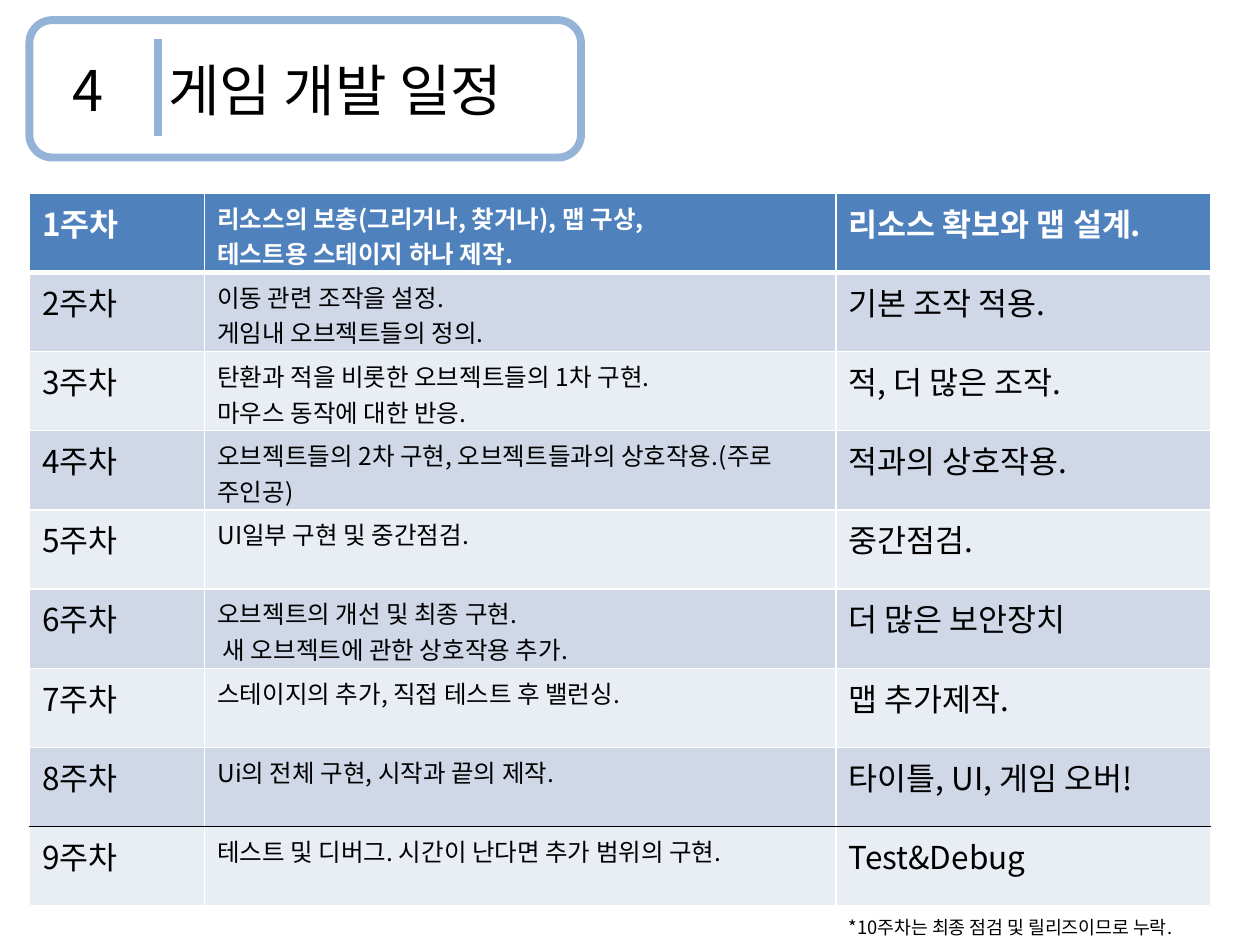
from dataclasses import dataclass

from lxml import etree
from pptx import Presentation
from pptx import util as u
from pptx.dml.color import RGBColor
from pptx.enum import shapes, text
from pptx.oxml import ns

Pt = u.Pt


@dataclass(frozen=True)
class Theme:
    """Colours, font and type sizes of the slide."""
    font: str = "Noto Sans CJK KR"
    ink: str = "000000"
    paper: str = "FFFFFF"
    frame: str = "95B3D7"
    head: str = "4F81BD"
    bands: tuple = ("E9EDF4", "D0D8E8")
    title: float = 32
    main: float = 18
    task: float = 14
    note: float = 10.5


THEME = Theme()

WEEKS = [
    ("리소스의 보충(그리거나, 찾거나), 맵 구상,\n테스트용 스테이지 하나 제작.", "리소스 확보와 맵 설계."),
    ("이동 관련 조작을 설정.\n게임내 오브젝트들의 정의.", "기본 조작 적용."),
    ("탄환과 적을 비롯한 오브젝트들의 1차 구현.\n마우스 동작에 대한 반응.", "적, 더 많은 조작."),
    ("오브젝트들의 2차 구현, 오브젝트들과의 상호작용.(주로 주인공)", "적과의 상호작용."),
    ("UI일부 구현 및 중간점검.", "중간점검."),
    ("오브젝트의 개선 및 최종 구현.\n 새 오브젝트에 관한 상호작용 추가.", "더 많은 보안장치"),
    ("스테이지의 추가, 직접 테스트 후 밸런싱.", "맵 추가제작."),
    ("Ui의 전체 구현, 시작과 끝의 제작.", "타이틀, UI, 게임 오버!"),
    ("테스트 및 디버그. 시간이 난다면 추가 범위의 구현.", "Test&Debug"),
]


def add(node, tag, **attrs):
    """Append a DrawingML child and return it."""
    return etree.SubElement(node, ns.qn("a:" + tag), attrs)


def write(frame, words, size, color=THEME.ink, bold=False):
    """Fill a text frame and format all its runs."""
    frame.text = words
    for para in frame.paragraphs:
        for run in para.runs:
            font = run.font
            font.name, font.size, font.bold = THEME.font, Pt(size), bold
            font.color.rgb = RGBColor.from_string(color)
            add(run._r.get_or_add_rPr(), "ea", typeface=THEME.font)


def label(slide, box, words, size, wrap):
    """Place a text box and return its frame."""
    frame = slide.shapes.add_textbox(*map(Pt, box)).text_frame
    frame.word_wrap = wrap
    frame.auto_size = text.MSO_AUTO_SIZE.SHAPE_TO_FIT_TEXT
    write(frame, words, size)
    return frame


def stroke(line):
    """Apply the frame colour and weight to a line."""
    line.color.rgb = RGBColor.from_string(THEME.frame)
    line.width = Pt(4.5)


def header(slide, box, num, words):
    """Draw the framed number and title."""
    x, y, w, h = box
    frame = slide.shapes.add_shape(shapes.MSO_SHAPE.ROUNDED_RECTANGLE, *map(Pt, box))
    frame.shadow.inherit = False
    frame.fill.background()
    stroke(frame.line)
    title = label(slide, (x + 17.3, y + 16.5, w - 23, 46), f"{num}\t{words}", THEME.title, True)
    tabs = add(title.paragraphs[0]._p.get_or_add_pPr(), "tabLst")
    add(tabs, "tab", pos=str(Pt(55)), algn="l")
    bar = slide.shapes.add_connector(
        shapes.MSO_CONNECTOR.STRAIGHT, Pt(x + 73.4), Pt(y + 11), Pt(x + 73.4), Pt(y + h - 12))
    stroke(bar.line)
    add(bar._element.spPr, "effectLst")


def edge(cell, side, color, width):
    """Draw one border of a cell."""
    line = add(cell._tc.get_or_add_tcPr(), "ln" + side, w=str(Pt(width)))
    add(add(line, "solidFill"), "srgbClr", val=color)


def plan(slide, box, weeks, cols):
    """Draw the weekly schedule table."""
    count = len(weeks)
    table = slide.shapes.add_table(count, len(cols), *map(Pt, box)).table
    table.horz_banding = False
    for col, width in zip(table.columns, cols):
        col.width = Pt(width)
    for i, (task, goal) in enumerate(weeks):
        table.rows[i].height = Pt(box[3] / count)
        top = i == 0
        fill = THEME.head if top else THEME.bands[i % 2]
        ink = THEME.paper if top else THEME.ink
        over = THEME.ink if i == count - 1 else THEME.paper
        under = THEME.ink if i == count - 2 else THEME.paper
        sizes = (THEME.main, THEME.task, THEME.main)
        for cell, words, size in zip(table.rows[i].cells, (f"{i + 1}주차", task, goal), sizes):
            write(cell.text_frame, words, size, ink, top)
            for side in "LR":
                edge(cell, side, THEME.paper, 1)
            edge(cell, "T", over, 3 if i == 1 else 1)
            edge(cell, "B", under, 3 if top else 1)
            cell.fill.solid()
            cell.fill.fore_color.rgb = RGBColor.from_string(fill)


def main():
    """Build and save the slide."""
    deck = Presentation()
    deck.slide_width, deck.slide_height = Pt(720), Pt(540)
    slide = deck.slides.add_slide(deck.slide_layouts[6])
    header(slide, (16.8, 11.5, 315.2, 78.5), 4, "게임 개발 일정")
    plan(slide, (16.8, 110.4, 675, 407.25), WEEKS, (100.2, 360.8, 214))
    label(slide, (478, 520, 221.8, 20), "*10주차는 최종 점검 및 릴리즈이므로 누락.", THEME.note, False)
    deck.save("out.pptx")


main()
